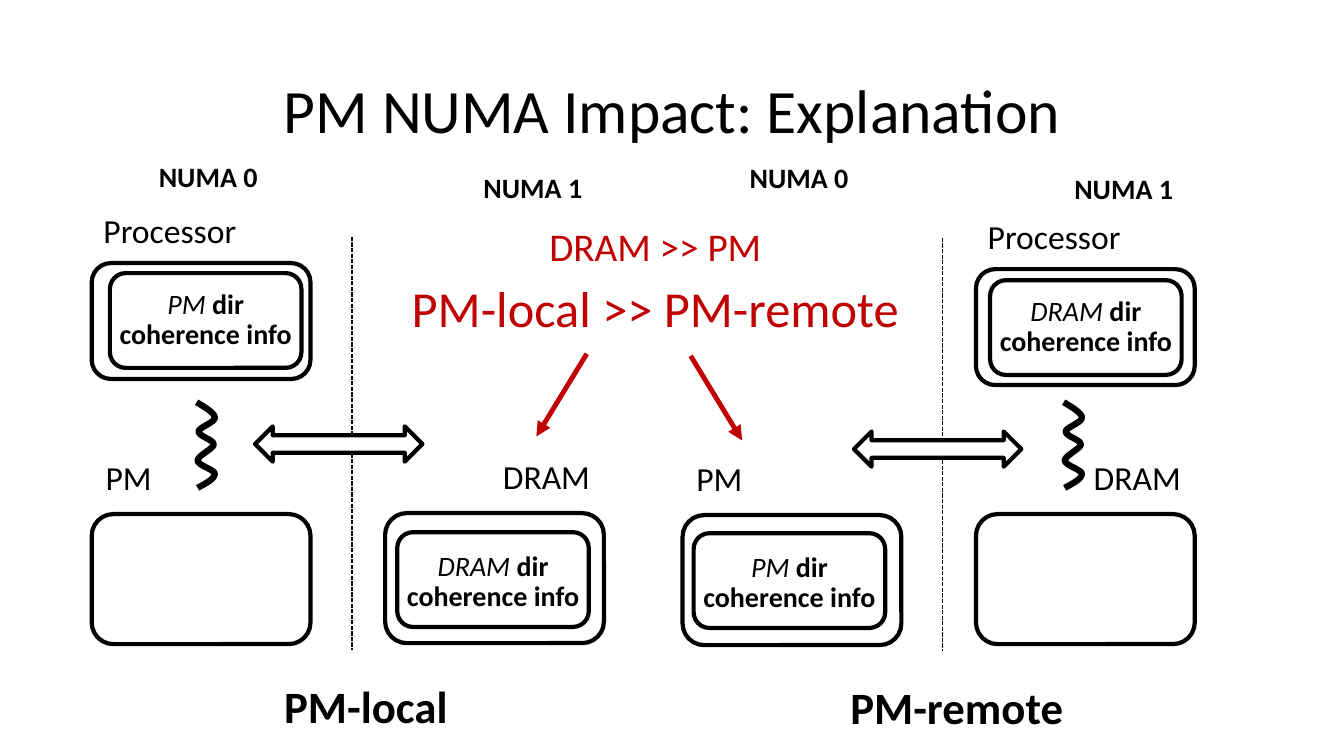
from dataclasses import dataclass

from lxml import etree
from pptx import Presentation
from pptx.dml.color import RGBColor
from pptx.enum.dml import MSO_LINE
from pptx.enum.shapes import MSO_CONNECTOR, MSO_SHAPE
from pptx.enum.text import MSO_ANCHOR, PP_ALIGN
from pptx.oxml.ns import qn
from pptx.util import Inches, Pt

STRAIGHT = MSO_CONNECTOR.STRAIGHT
ROUNDED = MSO_SHAPE.ROUNDED_RECTANGLE
DOUBLE_ARROW = MSO_SHAPE.LEFT_RIGHT_ARROW
SYSTEM_DASH = MSO_LINE.SQUARE_DOT
CENTER = PP_ALIGN.CENTER
TOP, MIDDLE = MSO_ANCHOR.TOP, MSO_ANCHOR.MIDDLE


@dataclass(frozen=True)
class Theme:
    font: str = "Calibri"
    ink: RGBColor = RGBColor(0, 0, 0)
    paper: RGBColor = RGBColor(255, 255, 255)
    accent: RGBColor = RGBColor(0xC0, 0, 0)
    title: int = 44
    finding: int = 36
    caption: int = 32
    comparison: int = 28
    label: int = 24
    small: int = 20
    outline: float = 3
    divider: float = 1
    pointer: float = 3.5
    wave: float = 4.5


@dataclass(frozen=True)
class Scenario:
    caption: str
    processor: tuple
    processor_directory: tuple
    processor_medium: str
    memory_directory: tuple
    memory_medium: str
    wave: tuple
    link: tuple


THEME = Theme()
BLOCK_WIDTH = 2.17
PROCESSOR_HEIGHT, MEMORY_HEIGHT = 1.15, 1.29
DIRECTORY_SIZE = (1.9, 0.94)
DIRECTORY_TEXT_WIDTH = {"PM": 2.2, "DRAM": 2.32}
LABEL_HEIGHT = 0.55
WAVE_START = (0, 0)
WAVE_CURVES = [
    ((0.03, 0.02), (0.18, 0.1), (0.18, 0.15)),
    ((0.19, 0.2), (0.02, 0.25), (0.02, 0.29)),
    ((0.02, 0.34), (0.17, 0.37), (0.17, 0.42)),
    ((0.17, 0.46), (0.01, 0.53), (0.01, 0.58)),
    ((0.02, 0.63), (0.18, 0.67), (0.18, 0.71)),
    ((0.18, 0.76), (0.1, 0.8), (0.01, 0.85)),
]
LEFT_SCENARIO = Scenario("PM-local", (0, 1.04), (0.18, 1.14), "PM", (3.03, 3.71),
                         "DRAM", (1.04, 2.42), (1.62, 2.66))
RIGHT_SCENARIO = Scenario("PM-remote", (2.91, 1.09), (3.05, 1.2), "DRAM", (0.11, 3.71),
                          "PM", (3.78, 2.41), (1.7, 2.7))


def add_text(slide, box, lines, anchor=TOP):
    shape = slide.shapes.add_textbox(*map(Inches, box))
    frame = shape.text_frame
    frame.word_wrap = True
    frame.vertical_anchor = anchor
    frame.text = "\n".join(text for text, size in lines)
    for paragraph, (text, size) in zip(frame.paragraphs, lines):
        paragraph.alignment = CENTER
        paragraph.line_spacing = 0.9
        paragraph.space_before = Pt(10)
        for run in paragraph.runs:
            format_run(run, size)
    return frame


def format_run(run, size, color=THEME.ink, bold=False, italic=False):
    run.font.name = THEME.font
    run.font.size = Pt(size)
    run.font.color.rgb = color
    run.font.bold = bold
    run.font.italic = italic


def add_label(slide, left, top, width, text, size, bold=False):
    frame = add_text(slide, (left, top, width, LABEL_HEIGHT), [(text, size)])
    frame.paragraphs[0].runs[0].font.bold = bold


def add_outlined(slide, kind, left, top, width, height):
    shape = slide.shapes.add_shape(kind, *map(Inches, (left, top, width, height)))
    shape.shadow.inherit = False
    shape.fill.solid()
    shape.fill.fore_color.rgb = THEME.paper
    shape.line.color.rgb = THEME.ink
    shape.line.width = Pt(THEME.outline)


def add_line(slide, start, end, color, width):
    connector = slide.shapes.add_connector(STRAIGHT, *map(Inches, start + end))
    connector.line.color.rgb = color
    connector.line.width = Pt(width)
    etree.SubElement(connector._element.spPr, qn("a:effectLst"))
    return connector


def add_directory(slide, left, top, medium, text_drop):
    width, height = DIRECTORY_SIZE
    add_outlined(slide, ROUNDED, left, top, width, height)
    text_width = DIRECTORY_TEXT_WIDTH[medium]
    box = (left + (width - text_width) / 2, top + text_drop, text_width, 0.71)
    paragraph = add_text(slide, box, [(medium + " ", THEME.small)]).paragraphs[0]
    paragraph.runs[0].font.italic = True
    run = paragraph.add_run()
    run.text = "dir coherence info"
    format_run(run, THEME.small, bold=True)


def curve_points(start, curves, steps=10):
    for first, second, end in curves:
        for step in range(1, steps + 1):
            t = step / steps
            yield tuple((1 - t) ** 3 * a + 3 * t * (1 - t) ** 2 * b
                        + 3 * t ** 2 * (1 - t) * c + t ** 3 * d
                        for a, b, c, d in zip(start, first, second, end))
        start = end


def add_wave(slide, left, top):
    points = [(Inches(left + x), Inches(top + y))
              for x, y in curve_points(WAVE_START, WAVE_CURVES)]
    builder = slide.shapes.build_freeform(Inches(left), Inches(top))
    builder.add_line_segments(points, close=False)
    shape = builder.convert_to_shape()
    shape.shadow.inherit = False
    shape.fill.background()
    shape.line.color.rgb = THEME.ink
    shape.line.width = Pt(THEME.wave)


def add_scenario(slide, left, top, scenario):
    def place(offset):
        return left + offset[0], top + offset[1]

    divider = add_line(slide, place((2.58, 0.78)), place((2.58, 4.88)),
                       THEME.ink, THEME.divider)
    divider.line.dash_style = SYSTEM_DASH
    processor_left, processor_top = place(scenario.processor)
    add_outlined(slide, ROUNDED, processor_left, processor_top, BLOCK_WIDTH, PROCESSOR_HEIGHT)
    add_label(slide, processor_left - 0.06, processor_top - 0.53, 1.67,
              "Processor", THEME.label)
    add_wave(slide, *place(scenario.wave))
    for offset in ((0, 3.53), (2.91, 3.52)):
        add_outlined(slide, ROUNDED, *place(offset), BLOCK_WIDTH, MEMORY_HEIGHT)
    add_directory(slide, *place(scenario.processor_directory), scenario.processor_medium, 0.12)
    add_directory(slide, *place(scenario.memory_directory), scenario.memory_medium, 0.15)
    add_outlined(slide, DOUBLE_ARROW, *place(scenario.link), 1.66, 0.35)
    for offset, width, text, size, bold in (
        ((0.01, 0), 2.29, "NUMA 0", THEME.small, True),
        ((3.23, 0.11), 2.29, "NUMA 1", THEME.small, True),
        ((-0.02, 2.96), 0.77, "PM", THEME.label, False),
        ((3.88, 2.95), 1.26, "DRAM", THEME.label, False),
        ((1.47, 5.17), 2.5, scenario.caption, THEME.caption, True),
    ):
        add_label(slide, *place(offset), width, text, size, bold)


def add_finding(slide, left, top, width, height):
    for start, end in (((1.92, 1.3), (1.42, 2.12)), ((2.95, 1.32), (3.46, 2.16))):
        pointer = add_line(slide, (left + start[0], top + start[1]),
                           (left + end[0], top + end[1]), THEME.accent, THEME.pointer)
        etree.SubElement(pointer.line._get_or_add_ln(), qn("a:tailEnd"), type="triangle")
    frame = add_text(slide, (left, top, width, height),
                     [("DRAM >> PM", THEME.comparison),
                      ("PM-local >> PM-remote", THEME.finding)])
    for paragraph in frame.paragraphs:
        paragraph.runs[0].font.color.rgb = THEME.accent


def main():
    presentation = Presentation()
    presentation.slide_width = Inches(13.33)
    presentation.slide_height = Inches(7.5)
    slide = presentation.slides.add_slide(presentation.slide_layouts[6])
    title = add_text(slide, (0.92, 0.4, 11.5, 1.45),
                     [("PM NUMA Impact: Explanation", THEME.title)], MIDDLE)
    title.paragraphs[0].space_before = Pt(0)
    add_scenario(slide, 0.91, 1.57, LEFT_SCENARIO)
    add_scenario(slide, 6.77, 1.58, RIGHT_SCENARIO)
    add_finding(slide, 3.9, 2.21, 5.2, 1.72)
    presentation.save("out.pptx")


if __name__ == "__main__":
    main()
